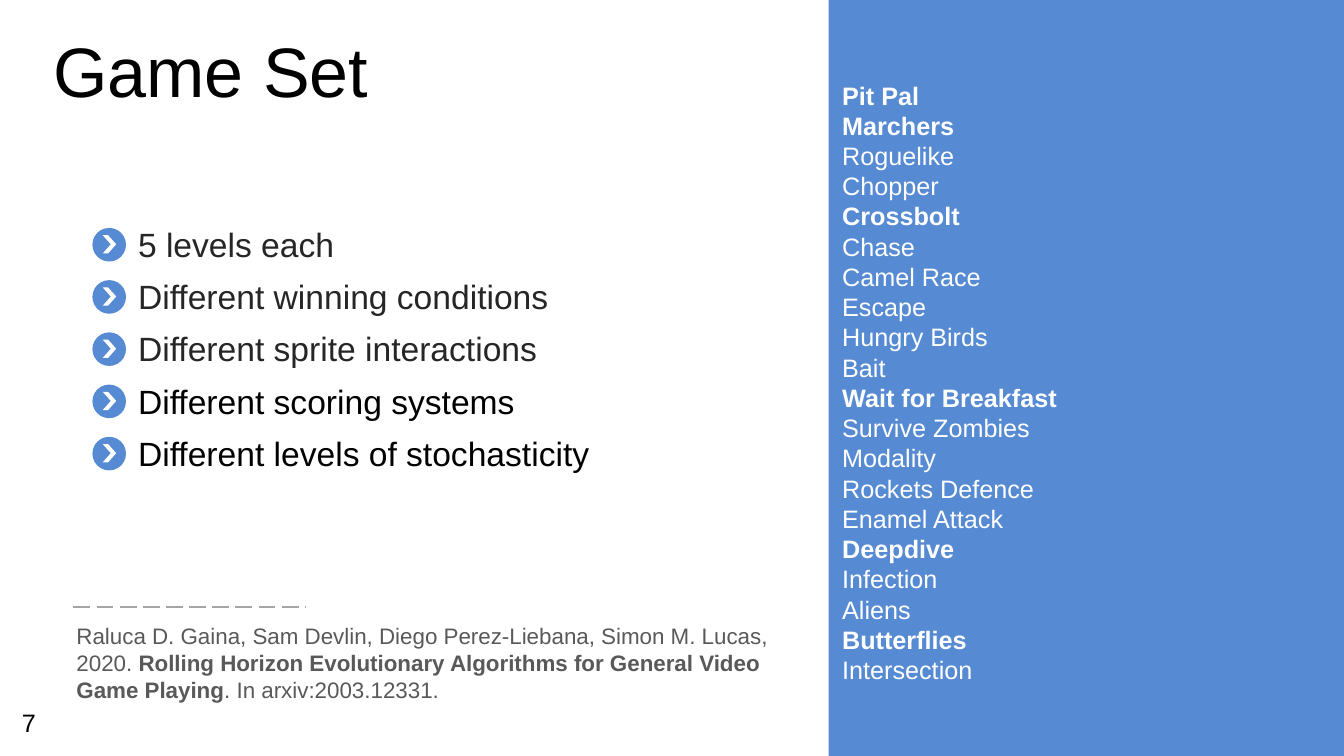
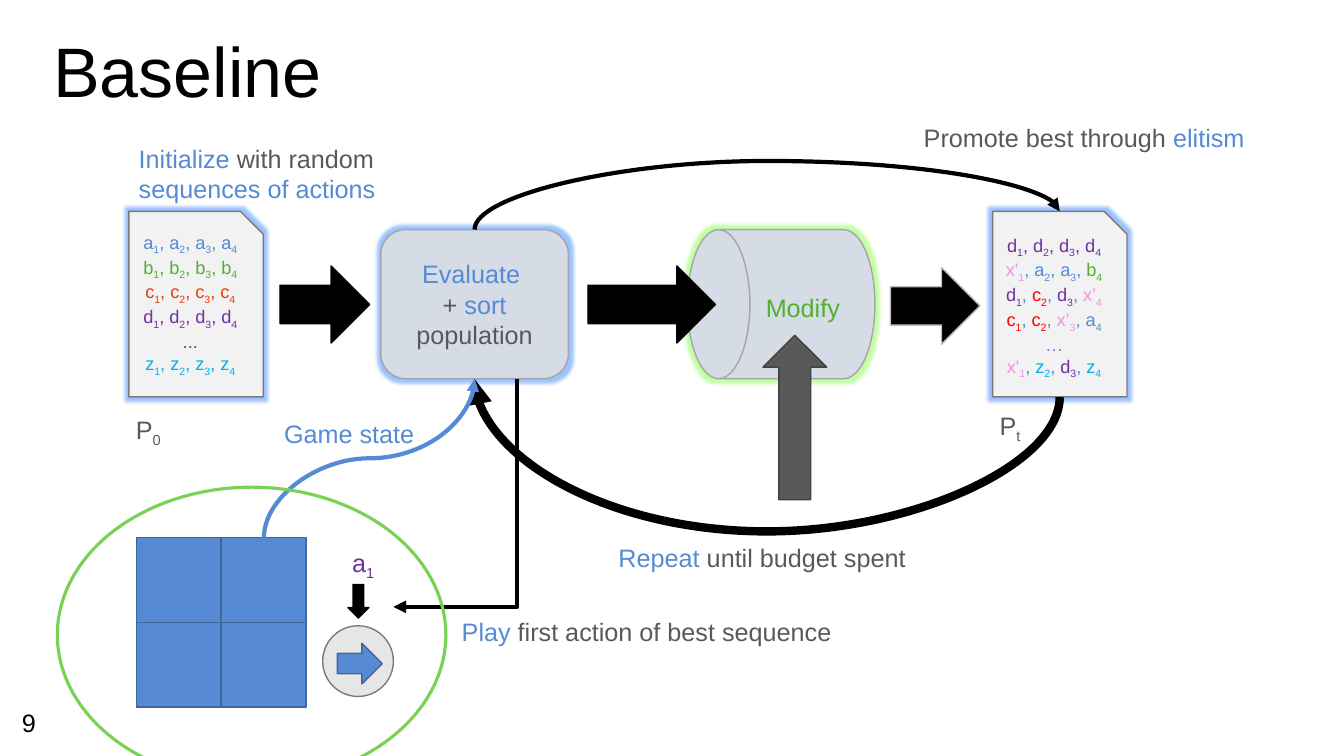
from lxml import etree
from pptx import Presentation
from pptx.dml.color import RGBColor
from pptx.enum.dml import MSO_LINE
from pptx.enum.shapes import MSO_CONNECTOR, MSO_SHAPE
from pptx.enum.text import MSO_ANCHOR, PP_ALIGN
from pptx.oxml.ns import qn
from pptx.util import Pt

COLOURS = {
    "blue": "568AD3", "navy": "40669C", "white": "FFFFFF", "black": "000000",
    "ink": "262626", "text": "595959", "edge": "7A7A7A", "silver": "A5A5A5",
    "light": "BFBFBF", "paper": "F2F2F2", "mist": "D6DCE5", "disc": "E7E6E6",
    "charcoal": "424242", "green": "54AE2F", "lime": "79D155", "orange": "E93C0D",
    "red": "FF0000", "purple": "7030A0", "cyan": "00B0F0", "pink": "F490E1",
    "blue glow": "5B9BFF", "green glow": "99FF66",
}
FONT = "Arial"
LEFT, CENTER, RIGHT = PP_ALIGN.LEFT, PP_ALIGN.CENTER, PP_ALIGN.RIGHT
TITLE_FORMAT = {"line_spacing": 0.7, "space_before": Pt(10)}

# Game set: (name, bold)
GAMES = [
    ("Pit Pal", True), ("Marchers", True), ("Roguelike", False), ("Chopper", False),
    ("Crossbolt", True), ("Chase", False), ("Camel Race", False), ("Escape", False),
    ("Hungry Birds", False), ("Bait", False), ("Wait for Breakfast", True),
    ("Survive Zombies", False), ("Modality", False), ("Rockets Defence", False),
    ("Enamel Attack", False), ("Deepdive", True), ("Infection", False),
    ("Aliens", False), ("Butterflies", True), ("Intersection", False),
]
FEATURES = [
    ("5 levels each", "ink"), ("Different winning conditions", "ink"),
    ("Different sprite interactions", "ink"), ("Different scoring systems", "black"),
    ("Different levels of stochasticity", "black"),
]
CITATION = [
    ("Raluca D. Gaina, Sam Devlin, Diego Perez-Liebana, Simon M. Lucas, 2020. ", "text"),
    ("Rolling Horizon Evolutionary Algorithms for General Video Game Playing", "text", True),
    (". In arxiv:2003.12331.", "text"),
]

# Baseline: an underscore lowers the character after it
GENES = {"a": "blue", "b": "green", "c": "orange", "d": "purple", "z": "cyan", ".": "text"}
NEXT_GENES = {**GENES, "c": "red", "x": "pink", "…": "blue"}
CARDS = [  # left, top inset, gene colours, sequences
    (92, 3.6, GENES, [
        "a_1, a_2, a_3, a_4", "b_1, b_2, b_3, b_4", "c_1, c_2, c_3, c_4",
        "d_1, d_2, d_3, d_4", "...", "z_1, z_2, z_3, z_4"]),
    (709, 7.6, NEXT_GENES, [
        "d_1, d_2, d_3, d_4", "x'_1, a_2, a_3, b_4", "d_1, c_2, d_3, x’_4",
        "c_1, c_2, x’_3, a_4", "…", "x'_1, z_2, d_3, z_4"]),
]
EVALUATE = [
    [("Evaluate ", "blue")],
    [("+ ", "text"), ("sort", "blue"), (" population", "text")],
]
ARROWS = [  # shape, box, fill, line
    (MSO_SHAPE.UP_ARROW, (545, 239.5, 45.5, 117.5), "text", "charcoal"),
    (MSO_SHAPE.RIGHT_ARROW, (200, 190, 64, 55), "black", "black"),
    (MSO_SHAPE.RIGHT_ARROW, (420, 190, 91, 55), "black", "black"),
    (MSO_SHAPE.RIGHT_ARROW, (636, 191, 64, 55), "black", "light"),
    (MSO_SHAPE.DOWN_ARROW, (248.5, 417.5, 15, 24), "black", "black"),
    (MSO_SHAPE.RIGHT_ARROW, (241, 459.5, 32, 29), "blue", "navy"),
]
LABELS = [  # box, alignment, paragraphs
    ((510, 205, 127, 29), CENTER, [[("Modify", "green")]]),
    ((407, 384, 247, 29), RIGHT, [[("Repeat ", "blue"), ("until budget spent", "text")]]),
    ((641, 83.5, 255, 29), RIGHT, [[("Promote best through ", "text"), ("elitism", "blue")]]),
    ((92, 98.5, 215, 51), LEFT, [[("Initialize", "blue"), (" with random", "text")],
                                 [("sequences of actions", "blue")]]),
    ((90, 292.5, 45, 29), LEFT, [[("P_0", "text")]]),
    ((707, 289.5, 45, 29), LEFT, [[("P_t", "text")]]),
    ((300, 437, 301, 29), RIGHT, [[("Play", "blue"), (" first action of best sequence", "text")]]),
    ((240, 387.5, 39, 29), CENTER, [[("a_1", "purple")]]),
    ((178, 295, 125, 29), RIGHT, [[("Game state", "blue")]]),
]
ROUTES = [  # preset, start, end, height of the turn, colour, weight
    ("curvedConnector3", (757, 283.7), (339, 270.7), 379.5, "black", 6),
    ("curvedConnector3", (339, 164), (757, 151), 115, "black", 3),
    ("bentConnector2", (369.5, 270.7), (281, 433.5), None, "black", 3),
    ("curvedConnector3", (188.5, 384), (339, 270.7), 327.35, "blue", 3),
]


def rgb(name):
    return RGBColor.from_string(COLOURS[name])


def points(box):
    return [Pt(value) for value in box]


def set_format(target, values):
    for name, value in values.items():
        setattr(target, name, value)


def add_span(para, text, size, colour, bold=False, lowered=False):
    span = para.add_run()
    span.text = text
    set_format(span.font, {"name": FONT, "size": Pt(size), "bold": bold})
    span.font.color.rgb = rgb(colour)
    if lowered:
        span.font._element.set("baseline", "-25000")


def write(shape, paragraphs, size, align=LEFT, frame_format=None, para_format=None):
    """Fill a shape with paragraphs of (text, colour[, bold]) spans."""
    frame = shape.text_frame
    set_format(frame, {"word_wrap": True, **(frame_format or {})})
    for index, spans in enumerate(paragraphs):
        para = frame.paragraphs[0] if index == 0 else frame.add_paragraph()
        set_format(para, {"alignment": align, **(para_format or {})})
        for text, colour, *bold in spans:
            first, *rest = text.split("_")
            if first:
                add_span(para, first, size, colour, *bold)
            for part in rest:
                add_span(para, part[0], size, colour, *bold, lowered=True)
                if part[1:]:
                    add_span(para, part[1:], size, colour, *bold)


def add_text(page, box, paragraphs, size, **formats):
    write(page.shapes.add_textbox(*points(box)), paragraphs, size, **formats)


def add_figure(page, kind, box, fill=None, line=None, weight=1, glow=None):
    shape = page.shapes.add_shape(kind, *points(box))
    shape.shadow.inherit = False
    if fill:
        shape.fill.solid()
        shape.fill.fore_color.rgb = rgb(fill)
    else:
        shape.fill.background()
    if line:
        shape.line.color.rgb = rgb(line)
        shape.line.width = Pt(weight)
    else:
        shape.line.fill.background()
    if glow:
        effects = shape._element.spPr.find(qn("a:effectLst"))
        halo = etree.SubElement(effects, qn("a:glow"), rad=str(Pt(5)))
        tint = etree.SubElement(halo, qn("a:srgbClr"), val=COLOURS[glow])
        etree.SubElement(tint, qn("a:alpha"), val="60000")
    return shape


def add_line(page, kind, box, colour, weight):
    line = page.shapes.add_connector(kind, *points(box))
    line.line.color.rgb = rgb(colour)
    line.line.width = Pt(weight)
    etree.SubElement(line._element.spPr, qn("a:effectLst"))
    return line


def add_route(page, preset, start, end, turn, colour, weight):
    """Draw an arrow that leaves vertically: a connector turned by 90 degrees."""
    across, down = end[0] - start[0], end[1] - start[1]
    middle_x, middle_y = (start[0] + end[0]) / 2, (start[1] + end[1]) / 2
    half_width, half_height = abs(down) / 2, abs(across) / 2
    box = (middle_x - half_width, middle_y - half_height,
           middle_x + half_width, middle_y + half_height)
    route = add_line(page, MSO_CONNECTOR.CURVE, box, colour, weight)
    properties = route._element.spPr
    frame = properties.find(qn("a:xfrm"))
    frame.set("rot", "5400000")
    if down < 0:
        frame.set("flipH", "1")
    if across > 0:
        frame.set("flipV", "1")
    geometry = properties.find(qn("a:prstGeom"))
    geometry.set("prst", preset)
    if turn is not None:
        ratio = round((turn - start[1]) / down * 100000)
        etree.SubElement(geometry.find(qn("a:avLst")), qn("a:gd"),
                         name="adj1", fmla=f"val {ratio}")
    etree.SubElement(properties.find(qn("a:ln")), qn("a:tailEnd"), type="triangle")


def add_page(deck, title, number):
    page = deck.slides.add_slide(deck.slide_layouts[6])
    add_text(page, (31, 26.5, 911.5, 57), [[(title, "black")]], 50,
             frame_format={"vertical_anchor": MSO_ANCHOR.MIDDLE, "margin_top": Pt(7.2)},
             para_format=TITLE_FORMAT)
    add_text(page, (8.5, 502, 44, 29), [[(number, "black")]], 18)
    return page


def colour_sequence(sequence, genes):
    """Colour each gene by its letter; commas are blue where colours mix."""
    tokens = sequence.split(", ")
    colours = [genes[token[0]] for token in tokens]
    comma = colours[0] if len(set(colours)) == 1 else "blue"
    spans = []
    for token, colour in zip(tokens, colours):
        if spans:
            spans.append((", ", comma))
        spans.append((token, colour))
    return spans


def build_game_set(deck):
    page = add_page(deck, "Game Set", "7")
    add_figure(page, MSO_SHAPE.RECTANGLE, (592, 0, 368, 540), "blue")
    add_text(page, (594.5, 53.5, 169, 443.5),
             [[(name, "white", bold)] for name, bold in GAMES], 18,
             frame_format={"word_wrap": False})
    for index, feature in enumerate(FEATURES):
        top = 162.8 + 37.3 * index
        add_figure(page, MSO_SHAPE.OVAL, (66, top, 24, 24), "blue")
        chevron = add_figure(page, MSO_SHAPE.CHEVRON, (73.4, top + 5.2, 9.6, 13), "white")
        chevron.adjustments[0] = 0.6
        add_text(page, (91.5, top - 6.5, 398, 36), [[feature]], 24,
                 frame_format={"vertical_anchor": MSO_ANCHOR.MIDDLE})
    add_text(page, (47.5, 433.5, 533, 80), [CITATION], 16,
             frame_format={"vertical_anchor": MSO_ANCHOR.MIDDLE},
             para_format={"space_before": Pt(3.2)})
    rule = add_line(page, MSO_CONNECTOR.STRAIGHT, (52.5, 433.5, 218, 433.5), "silver", 1.5)
    rule.line.dash_style = MSO_LINE.LONG_DASH


def build_baseline(deck):
    page = add_page(deck, "Baseline", "9")
    for left, inset, genes, sequences in CARDS:
        card = add_figure(page, MSO_SHAPE.SNIP_ROUND_RECTANGLE, (left, 151, 96, 132.5),
                          "paper", "edge", glow="blue glow")
        card.adjustments[0], card.adjustments[1] = 0, 0.17
        write(card, [colour_sequence(row, genes) for row in sequences], 13, CENTER,
              {"vertical_anchor": MSO_ANCHOR.MIDDLE, "margin_top": Pt(inset)})
    drum = add_figure(page, MSO_SHAPE.FLOWCHART_DIRECT_ACCESS_STORAGE,
                      (491, 164, 134, 106.5), "mist", "silver", glow="green glow")
    drum._element.spPr.find(qn("a:xfrm")).set("flipH", "1")
    evaluate = add_figure(page, MSO_SHAPE.ROUNDED_RECTANGLE, (272, 164, 134, 106.5),
                          "mist", "silver", glow="blue glow")
    write(evaluate, EVALUATE, 18, CENTER, {"vertical_anchor": MSO_ANCHOR.MIDDLE})
    side = 60.5
    for index in range(4):
        row, column = divmod(index, 2)
        add_figure(page, MSO_SHAPE.RECTANGLE,
                   (97.5 + column * side, 384 + row * side, side, side), "blue", "navy")
    add_figure(page, MSO_SHAPE.OVAL, (230.5, 447, 50.5, 50.5), "disc", "edge")
    for kind, box, fill, line in ARROWS:
        add_figure(page, kind, box, fill, line)
    for route in ROUTES:
        add_route(page, *route)
    for box, align, paragraphs in LABELS:
        add_text(page, box, paragraphs, 18, align=align)
    add_figure(page, MSO_SHAPE.OVAL, (41, 348, 277.5, 211), line="lime", weight=2.25)


def main():
    deck = Presentation()
    deck.slide_width, deck.slide_height = Pt(960), Pt(540)
    build_game_set(deck)
    build_baseline(deck)
    deck.save("out.pptx")


if __name__ == "__main__":
    main()
